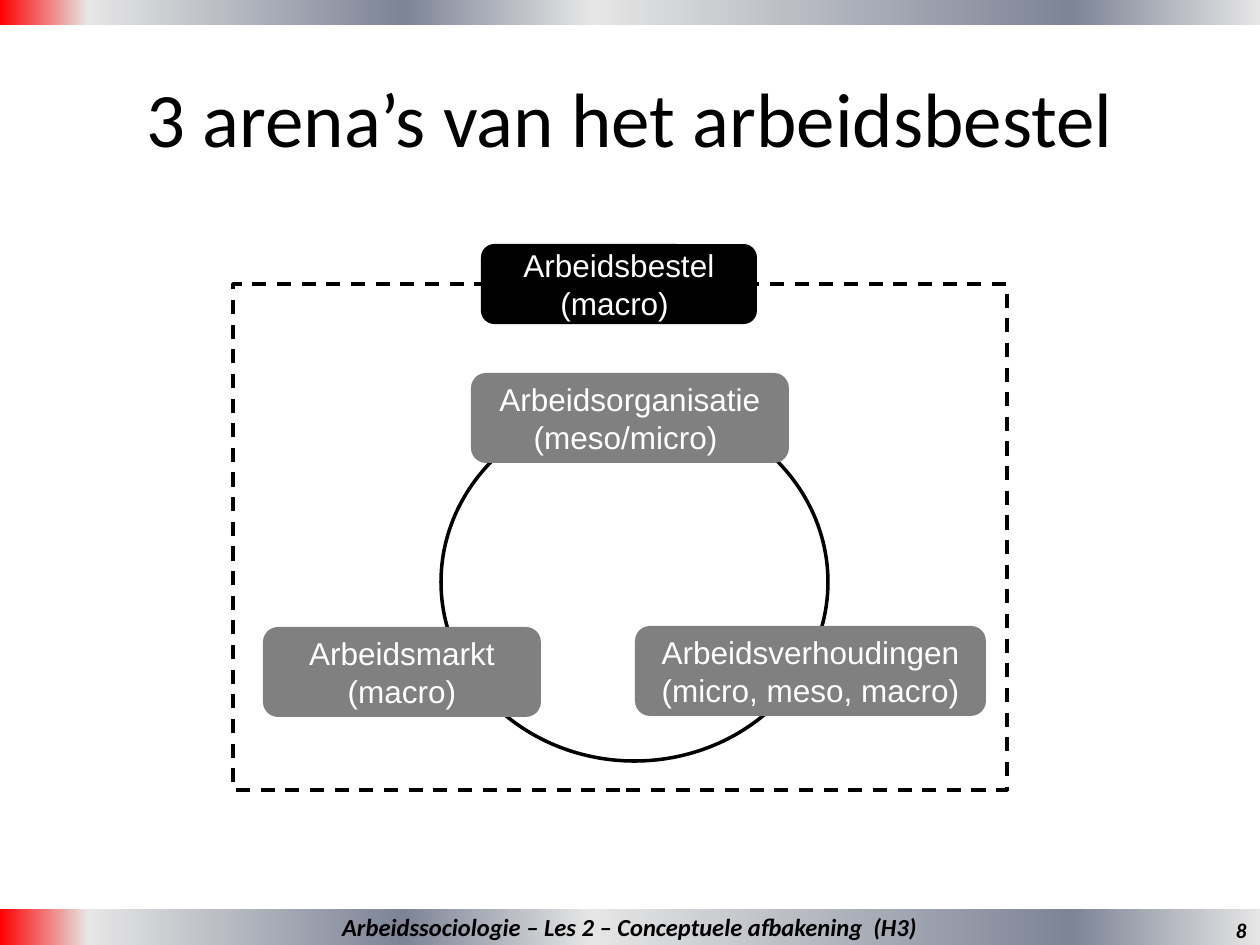
import pptx
import pptx.dml.color
import pptx.enum.dml
import pptx.enum.shapes
import pptx.enum.text
import pptx.oxml
import pptx.oxml.ns
import pptx.util

RGB = pptx.dml.color.RGBColor
SHAPE = pptx.enum.shapes.MSO_SHAPE
ALIGN = pptx.enum.text.PP_ALIGN
BLACK = RGB(0x00, 0x00, 0x00)
WHITE = RGB(0xFF, 0xFF, 0xFF)
GREY = RGB(0x80, 0x80, 0x80)
RED = RGB(0xFF, 0x00, 0x00)
SILVER = RGB(0xE6, 0xE6, 0xE6)
SLATE = RGB(0x7D, 0x84, 0x96)

EMU_PER_PX = 914400 / 126
WIDTH, HEIGHT = 1260, 945

TITLE = "3 arena’s van het arbeidsbestel"
TITLE_BOX = (63, 38, 1134, 157)
FOOTER = "Arbeidssociologie – Les 2 – Conceptuele afbakening  (H3)"
PAGE = "8"
PAGE_BOX = (965, 909, 294, 43)
CIRCLE = (441, 403, 387, 358)
FRAME = (233, 284, 774, 506)
ARENAS = [
    (["Arbeidsorganisatie (meso/micro) "], (471, 373, 318, 90)),
    (["Arbeidsmarkt (macro)"], (263, 627, 278, 90)),
    (["Arbeidsverhoudingen", "(micro, meso, macro)"], (635, 626, 351, 90)),
]
SYSTEM = (["Arbeidsbestel (macro) "], (481, 244, 276, 80))
BAR_STOPS = [(0, RED), (7, SILVER), (32, SLATE), (47, SILVER), (85, SLATE), (100, SILVER)]
TOP_BAR = (0, 0, WIDTH, 25)
BOTTOM_BAR = (0, 909, WIDTH, 36)


def emu(box):
    return [round(v * EMU_PER_PX) for v in box]


def set_text(sp, lines, size=18, font="Arial", color=WHITE, bold=False, italic=False,
             align=ALIGN.CENTER):
    tf = sp.text_frame
    tf.word_wrap = True
    tf.auto_size = pptx.enum.text.MSO_AUTO_SIZE.NONE
    tf.vertical_anchor = pptx.enum.text.MSO_ANCHOR.MIDDLE
    for i, line in enumerate(lines):
        p = tf.paragraphs[0] if i == 0 else tf.add_paragraph()
        p.alignment = align
        r = p.add_run()
        r.text = line
        r.font.size = pptx.util.Pt(size)
        r.font.name = font
        r.font.color.rgb = color
        r.font.bold = bold
        r.font.italic = italic


def add_shape(slide, kind, box, fill=None, line=None, dash=None):
    sp = slide.shapes.add_shape(kind, *emu(box))
    sp.shadow.inherit = False
    if fill is None:
        sp.fill.background()
    else:
        sp.fill.solid()
        sp.fill.fore_color.rgb = fill
    if line is None:
        sp.line.fill.background()
    else:
        sp.line.color.rgb = line
        sp.line.width = pptx.util.Pt(2)
        sp.line.dash_style = dash
    return sp


def add_label(slide, lines, box, fill):
    set_text(add_shape(slide, SHAPE.ROUNDED_RECTANGLE, box, fill=fill), lines)


def add_bar(slide, box):
    sp = add_shape(slide, SHAPE.RECTANGLE, box)
    sp.fill.gradient()
    sp.fill.gradient_angle = 0
    stops = sp.element.spPr.find(".//" + pptx.oxml.ns.qn("a:gsLst"))
    for gs in list(stops):
        stops.remove(gs)
    for pos, color in BAR_STOPS:
        stops.append(pptx.oxml.parse_xml(
            f'<a:gs {pptx.oxml.ns.nsdecls("a")} pos="{pos * 1000}">'
            f'<a:srgbClr val="{color}"/></a:gs>'))
    return sp


def main():
    prs = pptx.Presentation()
    prs.slide_width, prs.slide_height = emu((WIDTH, HEIGHT))
    slide = prs.slides.add_slide(prs.slide_layouts[5])

    title = slide.shapes.title
    title.left, title.top, title.width, title.height = emu(TITLE_BOX)
    set_text(title, [TITLE], size=44, font="Calibri", color=BLACK)

    add_shape(slide, SHAPE.OVAL, CIRCLE, line=BLACK)
    for lines, box in ARENAS:
        add_label(slide, lines, box, GREY)
    add_shape(slide, SHAPE.RECTANGLE, FRAME, line=BLACK,
              dash=pptx.enum.dml.MSO_LINE.DASH)
    add_label(slide, *SYSTEM, BLACK)

    note = dict(font="Calibri", color=BLACK, bold=True, italic=True)
    add_bar(slide, TOP_BAR)
    set_text(add_bar(slide, BOTTOM_BAR), [FOOTER], size=14, **note)
    page = slide.shapes.add_textbox(*emu(PAGE_BOX))
    set_text(page, [PAGE], size=12, align=ALIGN.RIGHT, **note)

    prs.save("out.pptx")


if __name__ == "__main__":
    main()
